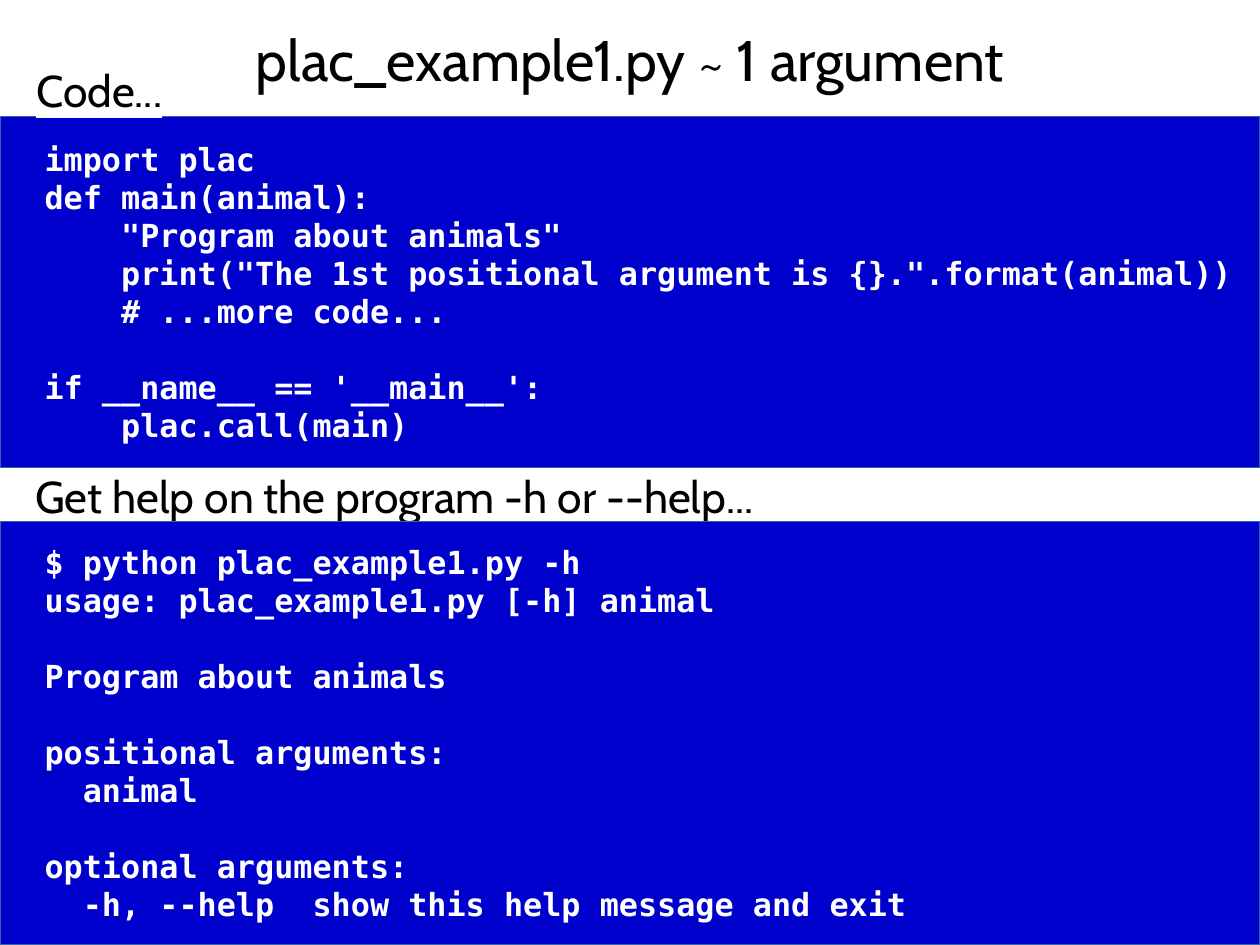
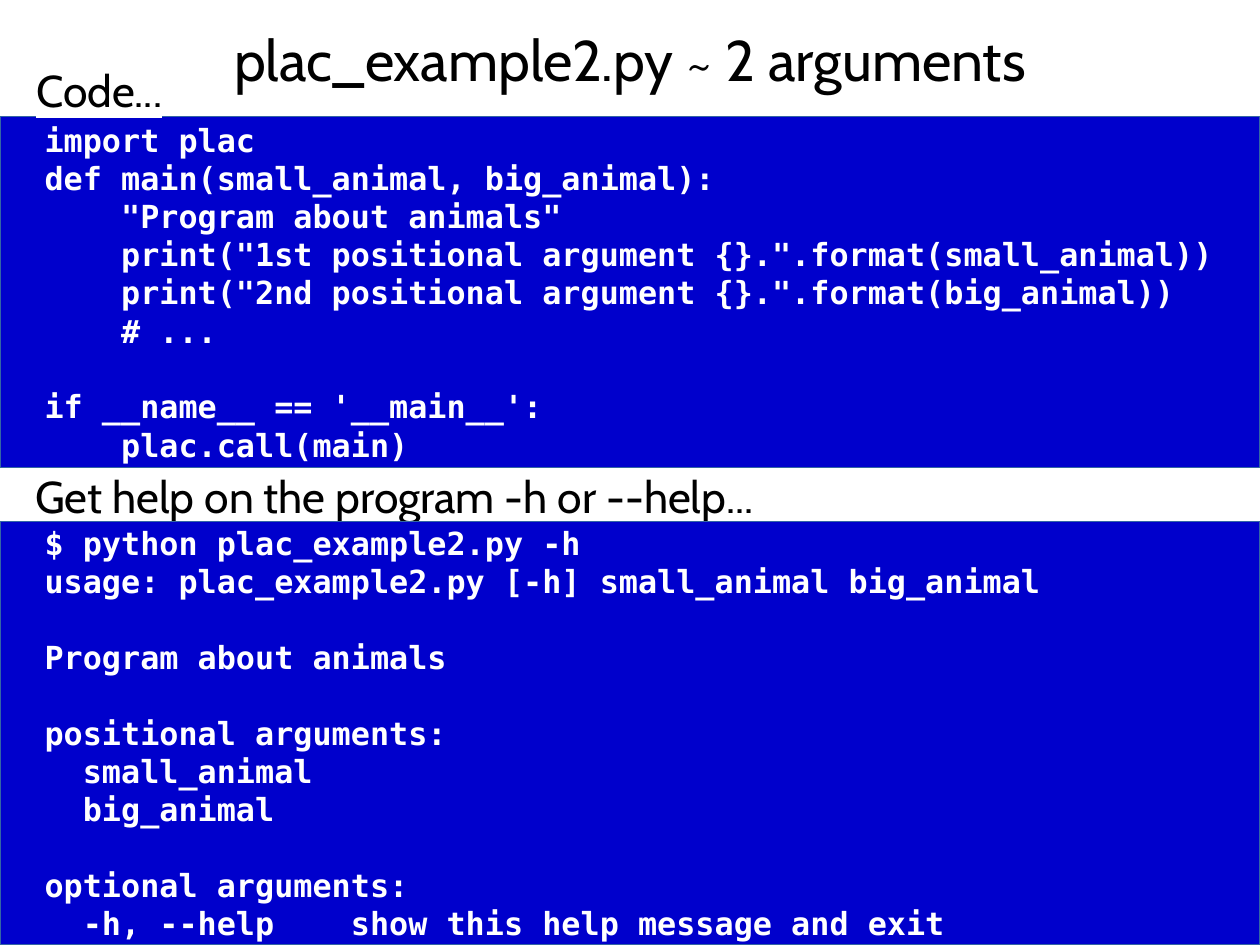
import pptx
import pptx.util
import pptx.dml.color
import pptx.enum.shapes
import pptx.enum.text
import lxml.etree

Pt = pptx.util.Pt
Align = pptx.enum.text.PP_ALIGN
Anchor = pptx.enum.text.MSO_ANCHOR
HUES = {"ink": "000000", "paper": "FFFFFF", "band": "0000CC", "edge": "3465A4"}
SANS = "Cabin"
MONO = "DejaVu Sans Mono"
LINE = 23.8


def hue(name):
    return pptx.dml.color.RGBColor.from_string(HUES[name])


class Deck:
    def __init__(self):
        self.file = pptx.Presentation()
        self.file.slide_width = pptx.util.Cm(28)
        self.file.slide_height = pptx.util.Cm(21)
        self.slide = None

    def add(self):
        self.slide = self.file.slides.add_slide(self.file.slide_layouts[6])

    def place(self, *shares):
        sides = [self.file.slide_width, self.file.slide_height] * 2
        return [round(share * side / 100) for share, side in zip(shares, sides)]

    def style(self, para, face, size, tone, bold=False):
        font = para.font
        font.name, font.size, font.bold = face, Pt(size), bold
        font.color.rgb = hue(tone)

    def frame(self, shape, anchor, inset):
        frame = shape.text_frame
        frame.word_wrap = True
        frame.vertical_anchor = anchor
        sides = [pptx.util.Inches(side) for side in inset]
        frame.margin_left, frame.margin_top, frame.margin_right, frame.margin_bottom = sides
        return frame

    def text(self, text, spot, size, align=Align.LEFT, anchor=Anchor.TOP):
        box = self.slide.shapes.add_textbox(*self.place(*spot))
        para = self.frame(box, anchor, [0] * 4).paragraphs[0]
        run = para.add_run()
        run.text = text
        para.alignment = align
        self.style(para, SANS, size, "ink")
        name = pptx.oxml.ns.qn
        mark = lxml.etree.SubElement(run._r.get_or_add_rPr(), name("a:highlight"))
        lxml.etree.SubElement(mark, name("a:srgbClr"), val=HUES["paper"])

    def title(self, text):
        self.text(text, (5, 2.9, 90, 6.65), 36, Align.CENTER, Anchor.MIDDLE)

    def label(self, text, left, top):
        self.text(text, (left, top, 95, 6.53), 28)

    def code(self, lines, top, height):
        kind = pptx.enum.shapes.MSO_SHAPE.RECTANGLE
        band = self.slide.shapes.add_shape(kind, *self.place(0, top, 100, height))
        band.shadow.inherit = False
        band.fill.solid()
        band.fill.fore_color.rgb = hue("band")
        band.line.color.rgb = hue("edge")
        band.line.width = Pt(0)
        frame = self.frame(band, Anchor.MIDDLE, (0.39, 0.05, 0.1, 0.05))
        para, gap = frame.paragraphs[0], 0
        for line in lines:
            if not line:
                gap += LINE
                continue
            if para.text:
                para = frame.add_paragraph()
            para.text = line
            para.alignment = Align.LEFT
            if gap:
                para.space_before = Pt(gap)
            self.style(para, MONO, 20, "paper", True)
            gap = 0


def example(deck, name, title, args, body, space):
    about = "Program about animals"
    deck.add()
    deck.title(f"{name} ~ {title}")
    deck.code([
        "import plac",
        f"def main({', '.join(args)}):",
        f'    "{about}"',
        *("    " + line for line in body),
        "",
        "if __name__ == '__main__':",
        "    plac.call(main)",
    ], 12.34, 37.13)
    deck.label("Code...", 2.9, 6.65)
    deck.label("Get help on the program -h or --help...", 2.81, 49.59)
    deck.code([
        f"$ python {name} -h",
        f"usage: {name} [-h] {' '.join(args)}",
        "",
        about,
        "",
        "positional arguments:",
        *("  " + arg for arg in args),
        "",
        "optional arguments:",
        f"  -h, --help{' ' * space}show this help message and exit",
    ], 55.15, 44.85)


def main():
    deck = Deck()
    example(deck, "plac_example1.py", "1 argument", ["animal"], [
        'print("The 1st positional argument is {}.".format(animal))',
        "# ...more code...",
    ], 2)
    example(deck, "plac_example2.py", "2 arguments", ["small_animal", "big_animal"], [
        'print("1st positional argument {}.".format(small_animal))',
        'print("2nd positional argument {}.".format(big_animal))',
        "# ...",
    ], 4)
    deck.file.save("out.pptx")


if __name__ == "__main__":
    main()
